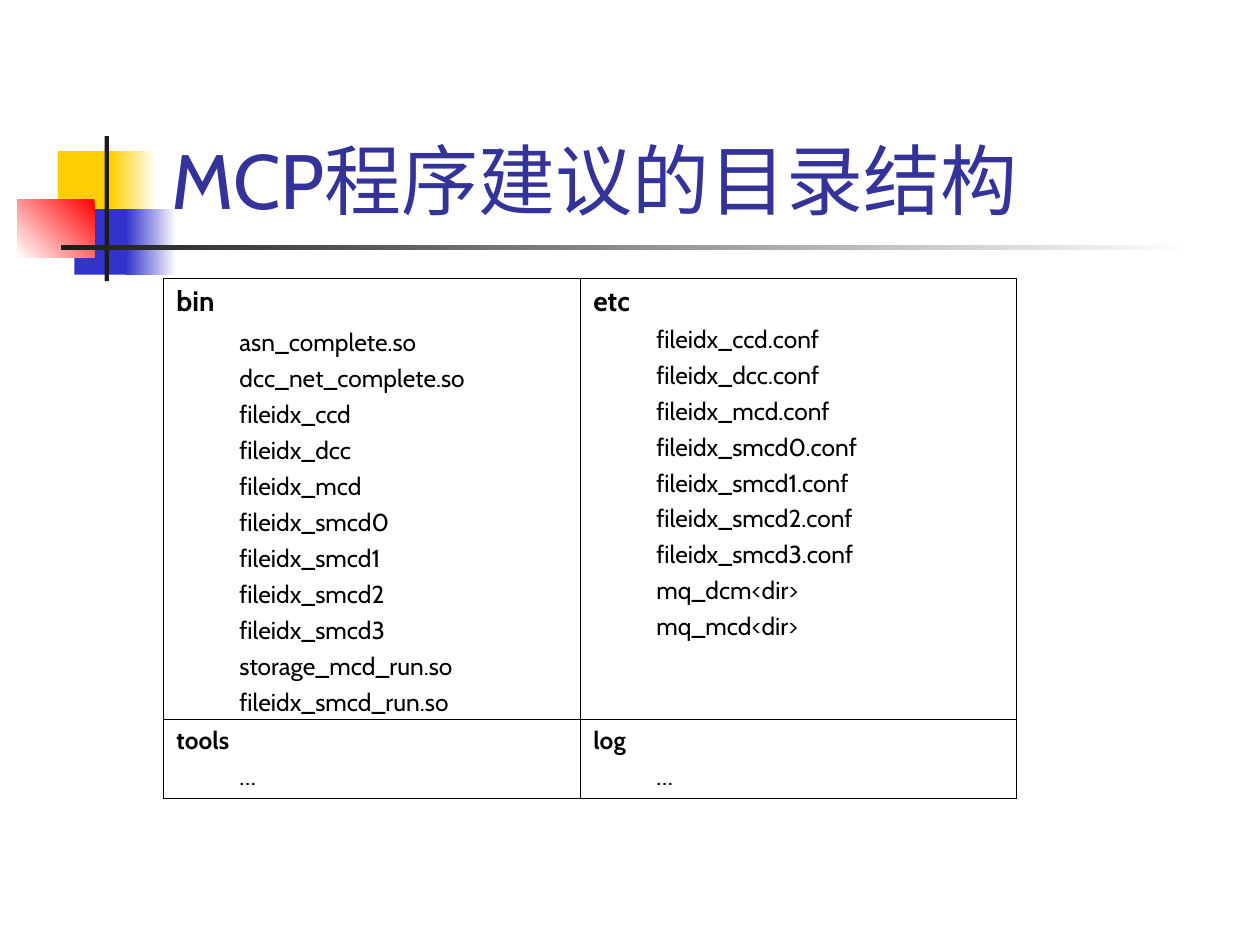
import dataclasses

import lxml.etree
import pptx
import pptx.dml.color
import pptx.enum.shapes
import pptx.enum.text
import pptx.oxml.ns
import pptx.util

Pt = pptx.util.Pt
Color = pptx.dml.color.RGBColor.from_string


@dataclasses.dataclass(frozen=True)
class Theme:
    font: str = "Cabin"
    white: str = "FFFFFF"
    black: str = "000000"
    yellow: str = "FFCF01"
    blue: str = "3333CC"
    red: str = "FF0000"
    dark: str = "1C1C1C"
    title: str = "333399"
    title_size: float = 44
    heading_size: float = 16
    body_size: float = 14
    border: float = 0.45


theme = Theme()


def add_span(para, text, size, color, bold=False):
    span = para.add_run()
    span.text = text
    span.font.name = theme.font
    span.font.size = Pt(size)
    span.font.bold = bold
    span.font.color.rgb = Color(color)


def add_border(cell):
    properties = cell._tc.get_or_add_tcPr()
    for index, side in enumerate(("lnL", "lnR", "lnT", "lnB")):
        line = lxml.etree.Element(pptx.oxml.ns.qn(f"a:{side}"), w=str(Pt(theme.border)))
        fill = lxml.etree.SubElement(line, pptx.oxml.ns.qn("a:solidFill"))
        lxml.etree.SubElement(fill, pptx.oxml.ns.qn("a:srgbClr"), val=theme.black)
        properties.insert(index, line)


deck = pptx.Presentation()
deck.slide_width, deck.slide_height = Pt(720), Pt(540)
page = deck.slides.add_slide(deck.slide_layouts[6])

# Ornament: left, top, width, height, start colour, end colour, angle
ornament = [
    (33.1, 86.4, 34.6, 37.4, theme.yellow, None, 0),
    (63.4, 86.4, 25.9, 37.4, theme.white, theme.yellow, 180),
    (42.5, 119.5, 33.1, 37.4, theme.blue, None, 0),
    (72, 119.5, 28.8, 37.4, theme.white, theme.blue, 180),
    (10.1, 113.8, 43.9, 33.1, theme.red, theme.white, 225),
    (59.8, 77.8, 2.5, 82.8, theme.dark, None, 0),
    (34.6, 140.2, 648, 2.5, theme.white, theme.dark, 180),
]
for left, top, width, height, start, end, angle in ornament:
    block = page.shapes.add_shape(
        pptx.enum.shapes.MSO_SHAPE.RECTANGLE, Pt(left), Pt(top), Pt(width), Pt(height))
    block.shadow.inherit = False
    block.line.fill.background()
    if end is None:
        block.fill.solid()
        block.fill.fore_color.rgb = Color(start)
    else:
        block.fill.gradient()
        block.fill.gradient_angle = angle
        for stop, color in zip(block.fill.gradient_stops, (start, end)):
            stop.color.rgb = Color(color)

# Title
box = page.shapes.add_textbox(Pt(90.7), Pt(16.6), Pt(613.4), Pt(115.2))
box.text_frame.word_wrap = True
box.text_frame.vertical_anchor = pptx.enum.text.MSO_ANCHOR.BOTTOM
add_span(box.text_frame.paragraphs[0], "MCP程序建议的目录结构", theme.title_size, theme.title)

# Directory table: heading, heading size, files
numbered = [f"fileidx_smcd{number}" for number in range(4)]
programs = ["fileidx_ccd", "fileidx_dcc", "fileidx_mcd"] + numbered
directories = [
    [("bin", theme.heading_size,
      ["asn_complete.so", "dcc_net_complete.so", *programs,
       "storage_mcd_run.so", "fileidx_smcd_run.so"]),
     ("etc", theme.heading_size,
      [f"{program}.conf" for program in programs] + ["mq_dcm<dir>", "mq_mcd<dir>"])],
    [("tools", theme.body_size, ["…"]), ("log", theme.body_size, ["…"])],
]
widths, heights = (238.3, 249.1), (252, 45.3)
table = page.shapes.add_table(
    2, 2, Pt(93.6), Pt(159.1), Pt(sum(widths)), Pt(sum(heights))).table
table.first_row = table.horz_banding = False
for column, width in zip(table.columns, widths):
    column.width = Pt(width)
for row, height, entries in zip(table.rows, heights, directories):
    row.height = Pt(height)
    for cell, (heading, size, files) in zip(row.cells, entries):
        cell.fill.background()
        add_border(cell)
        para = cell.text_frame.paragraphs[0]
        para.space_before = Pt(size / 4)
        add_span(para, heading, size, theme.black, bold=True)
        for file in files:
            para = cell.text_frame.add_paragraph()
            para.level = 1
            para.space_before = Pt(theme.body_size / 4)
            para._p.get_or_add_pPr().set("marL", str(Pt(36)))
            add_span(para, file, theme.body_size, theme.black)

# The first heading is justified, with a little room below
para = table.cell(0, 0).text_frame.paragraphs[0]
para.alignment = pptx.enum.text.PP_ALIGN.JUSTIFY
para.space_after = Pt(2)

deck.save("out.pptx")
